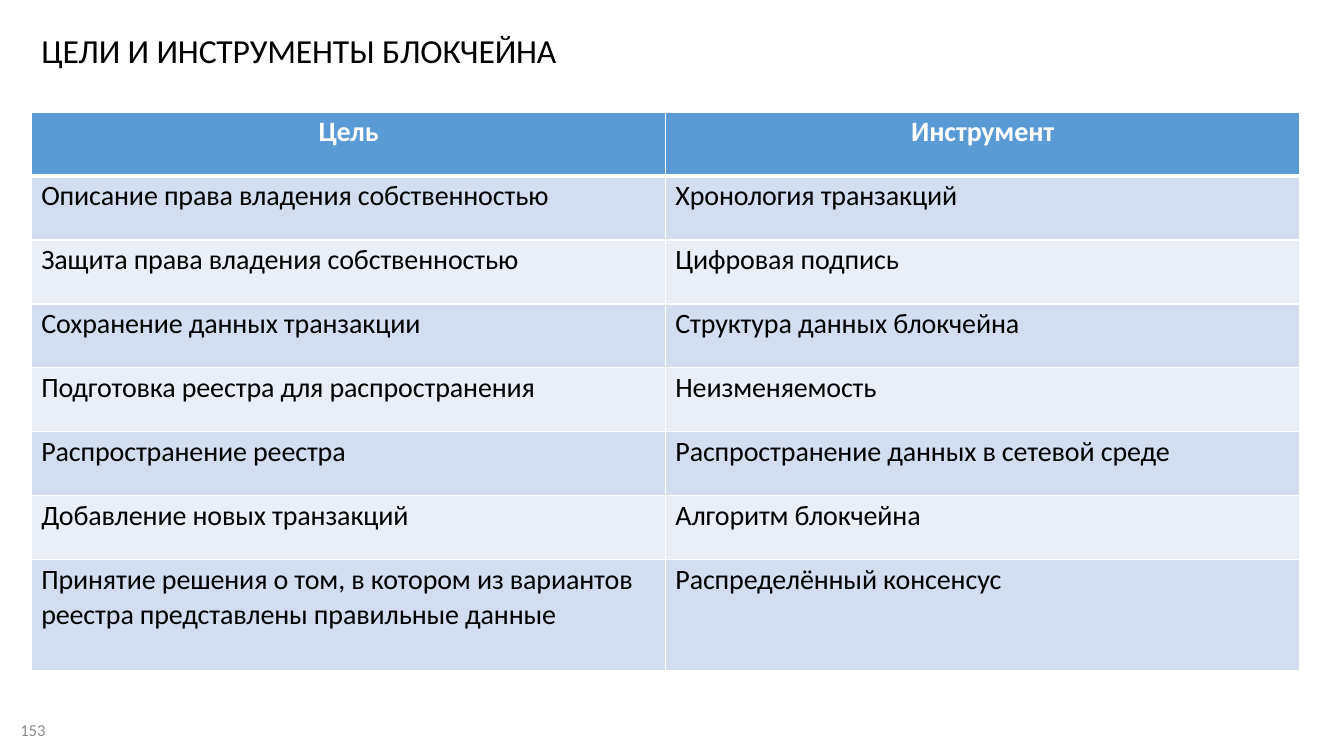
from pptx import Presentation
from pptx.dml.color import RGBColor
from pptx.enum import text as t
from pptx.oxml import parse_xml
from pptx.oxml.ns import nsdecls
from pptx.util import Pt

BLACK = RGBColor(0, 0, 0)
WHITE = RGBColor(0xFF, 0xFF, 0xFF)
GREY = RGBColor(0x8C, 0x8C, 0x8C)
BLUE = RGBColor(0x5B, 0x9B, 0xD5)
BANDS = RGBColor(0xEA, 0xEF, 0xF7), RGBColor(0xD2, 0xDE, 0xEF)

HEAD = "Цель", "Инструмент"
GOALS = [
    ("Описание права владения собственностью", "Хронология транзакций"),
    ("Защита права владения собственностью", "Цифровая подпись"),
    ("Сохранение данных транзакции", "Структура данных блокчейна"),
    ("Подготовка реестра для распространения", "Неизменяемость"),
    ("Распространение реестра", "Распространение данных в сетевой среде"),
    ("Добавление новых транзакций", "Алгоритм блокчейна"),
    ("Принятие решения о том, в котором из вариантов реестра "
     "представлены правильные данные", "Распределённый консенсус"),
]


def write(frame, words, size=20, color=BLACK, bold=False,
          align=t.PP_ALIGN.LEFT, line=None):
    """Fill a text frame with one formatted paragraph."""
    para = frame.paragraphs[0]
    para.alignment = align
    if line:
        para.line_spacing = Pt(line)
    run = para.add_run()
    run.text = words
    font = run.font
    font.name, font.size, font.bold = "Calibri", Pt(size), bold
    font.color.rgb = color
    # Letter spacing, in hundredths of a point
    run._r.get_or_add_rPr().set("spc", "-10")


def label(slide, words, left, top, width, height, **form):
    box = slide.shapes.add_textbox(Pt(left), Pt(top), Pt(width), Pt(height))
    frame = box.text_frame
    frame.word_wrap = True
    frame.vertical_anchor = t.MSO_ANCHOR.MIDDLE
    frame.margin_left = frame.margin_right = 0
    frame.margin_top = frame.margin_bottom = 0
    write(frame, words, **form)


def edge(cell, side, width):
    """Draw one white border of a cell."""
    cell._tc.get_or_add_tcPr().append(parse_xml(
        f'<a:ln{side} {nsdecls("a")} w="{Pt(width)}"><a:solidFill>'
        f'<a:srgbClr val="{WHITE}"/></a:solidFill></a:ln{side}>'))


def fill_cell(cell, words, row):
    head = row == 0
    widths = {"L": 1, "R": 1, "T": 3 if row == 1 else 1, "B": 3 if head else 1}
    for side, width in widths.items():
        edge(cell, side, width)
    cell.fill.solid()
    cell.fill.fore_color.rgb = BLUE if head else BANDS[row % 2]
    cell.margin_left = Pt(0 if head else 7)
    cell.margin_right = cell.margin_bottom = 0
    cell.margin_top = Pt(2.3)
    if head:
        write(cell.text_frame, words, color=WHITE, bold=True,
              align=t.PP_ALIGN.CENTER)
    else:
        write(cell.text_frame, words)


def goal_table(slide, left, top, width, step, last):
    rows = [HEAD] + GOALS
    height = step * (len(rows) - 1) + last
    table = slide.shapes.add_table(len(rows), len(HEAD), Pt(left), Pt(top),
                                   Pt(width), Pt(height)).table
    table.first_row = table.horz_banding = False
    for r, pair in enumerate(rows):
        table.rows[r].height = Pt(last if r == len(rows) - 1 else step)
        for c, words in enumerate(pair):
            fill_cell(table.cell(r, c), words, r)


def main():
    deck = Presentation()
    deck.slide_width, deck.slide_height = Pt(960), Pt(540)
    slide = deck.slides.add_slide(deck.slide_layouts[6])

    # Title
    label(slide, "ЦЕЛИ И ИНСТРУМЕНТЫ БЛОКЧЕЙНА", 29.5, 20, 447, 31, size=24)
    # Goals and their tools
    goal_table(slide, 22.5, 80, 906, step=45.7, last=79.5)
    # Page number
    label(slide, "153", 0, 509, 32.5, 20, size=12, color=GREY,
          align=t.PP_ALIGN.RIGHT, line=18.6)

    deck.save("out.pptx")


if __name__ == "__main__":
    main()
